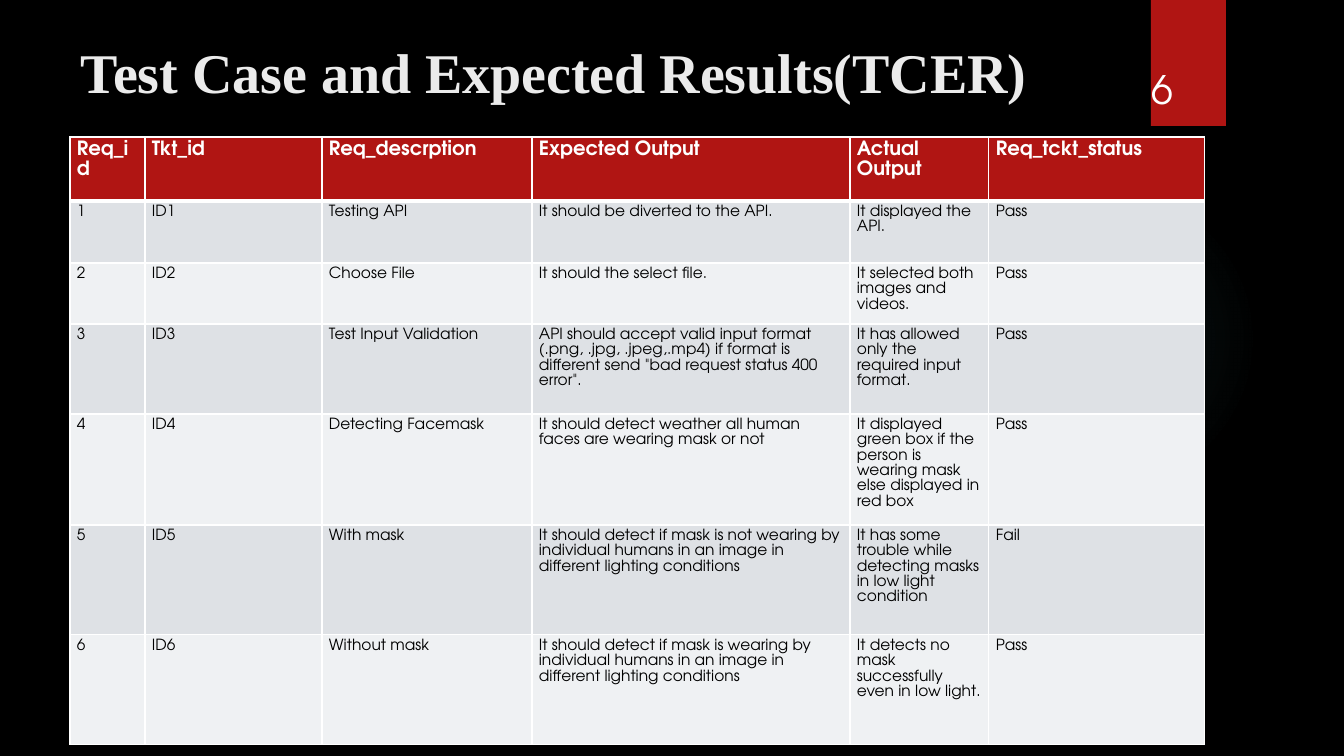
from pptx import Presentation
from pptx.dml.color import RGBColor
from pptx.enum.shapes import MSO_SHAPE
from pptx.enum.text import MSO_ANCHOR
from pptx.oxml import parse_xml
from pptx.oxml.ns import nsdecls
from pptx.util import Pt

PX = 12192000 / 1344
OVAL, RECTANGLE = MSO_SHAPE.OVAL, MSO_SHAPE.RECTANGLE
BOTTOM = MSO_ANCHOR.BOTTOM
BODY_FONT = "TeX Gyre Adventor"
RED, WHITE = "B01513", "FFFFFF"
BANDS = ["EFF1F3", "DEE1E5"]


def px(*lengths):
    """Turn pixel lengths into a list of EMU."""
    return [round(length * PX) for length in lengths]


def rgb(value):
    return RGBColor.from_string(value)


prs = Presentation()
prs.slide_width, prs.slide_height = px(1344, 756)
slide = prs.slides.add_slide(prs.slide_layouts[6])
slide.background.fill.solid()
slide.background.fill.fore_color.rgb = rgb("000000")

# Faint glow and red page tab
glow = slide.shapes.add_shape(OVAL, *px(949, 184, 310, 310))
stops = "".join(
    f'<a:gs pos="{position}000"><a:srgbClr val="50B9C1">'
    f'<a:alpha val="{alpha}000"/></a:srgbClr></a:gs>'
    for position, alpha in [(0, 7), (36, 6), (69, 0)])
glow.element.spPr.append(parse_xml(
    f'<a:gradFill {nsdecls("a")}><a:gsLst>{stops}</a:gsLst><a:path path="circle">'
    '<a:fillToRect l="50000" t="50000" r="50000" b="50000"/></a:path></a:gradFill>'))

page_tab = slide.shapes.add_shape(RECTANGLE, *px(1151, 0, 75, 126))
page_tab.fill.solid()
page_tab.fill.fore_color.rgb = rgb(RED)
for decoration in (glow, page_tab):
    decoration.line.fill.background()
    decoration.shadow.inherit = False

# Title and page number
for text, bounds, font, size, color, bold, spacing in [
    ("Test Case and Expected Results(TCER)", (71, 23, 986, 88),
     "Times New Roman", 40, "EBEBEB", True, 0.9),
    ("6", (1142, 32, 93, 85), BODY_FONT, 28, WHITE, False, 1.0),
]:
    frame = slide.shapes.add_textbox(*px(*bounds)).text_frame
    frame.word_wrap = True
    frame.vertical_anchor = BOTTOM
    paragraph = frame.paragraphs[0]
    paragraph.text = text
    paragraph.line_spacing = spacing
    paragraph.font.name = font
    paragraph.font.size = Pt(size)
    paragraph.font.bold = bold
    paragraph.font.color.rgb = rgb(color)

# Test case table
test_cases = [
    ("Req_id", "Tkt_id", "Req_descrption", "Expected Output", "Actual Output",
     "Req_tckt_status"),
    ("1", "ID1", "Testing API", "It should be diverted to the API.",
     "It displayed the API.", "Pass"),
    ("2", "ID2", "Choose File", "It should the select file.",
     "It selected both images and videos.", "Pass"),
    ("3", "ID3", "Test Input Validation",
     "API should accept valid input format (.png, .jpg, .jpeg,.mp4) if format is "
     'different send "bad request status 400 error".',
     "It has allowed only the required input format.", "Pass"),
    ("4", "ID4", "Detecting Facemask",
     "It should detect weather all human faces are wearing mask or not",
     "It displayed green box if the person is wearing mask else displayed in red box",
     "Pass"),
    ("5", "ID5", "With mask",
     "It should detect if mask is not wearing by individual humans in an image in "
     "different lighting conditions",
     "It has some trouble while detecting masks in low light condition", "Fail"),
    ("6", "ID6", "Without mask",
     "It should detect if mask is wearing by individual humans in an image in "
     "different lighting conditions",
     "It detects no mask successfully even in low light.", "Pass"),
]
column_widths = px(75, 177, 210, 318, 139, 216)
row_heights = px(64, 62, 61, 90, 111, 110, 110)
results = slide.shapes.add_table(
    len(row_heights), len(column_widths), *px(70, 137),
    sum(column_widths), sum(row_heights)).table
for column, width in zip(results.columns, column_widths):
    column.width = width
for row, height in zip(results.rows, row_heights):
    row.height = height

for r, test_case in enumerate(test_cases):
    header = r == 0
    text_size = Pt(14 if header else 11)
    for c, text in enumerate(test_case):
        cell = results.cell(r, c)
        cell.margin_left, cell.margin_right = px(7, 7)
        cell.margin_top, cell.margin_bottom = px(3, 3)
        for side in "LRTB":
            under_header = (r, side) in [(0, "B"), (1, "T")]
            width = Pt(3 if under_header else 1)
            cell._tc.get_or_add_tcPr().append(parse_xml(
                f'<a:ln{side} {nsdecls("a")} w="{width}"><a:solidFill>'
                f'<a:srgbClr val="{WHITE}"/></a:solidFill></a:ln{side}>'))
        cell.fill.solid()
        cell.fill.fore_color.rgb = rgb(RED if header else BANDS[r % 2])
        paragraph = cell.text_frame.paragraphs[0]
        paragraph.text = text
        paragraph.line_spacing = text_size
        paragraph.font.name = BODY_FONT
        paragraph.font.size = text_size
        paragraph.font.bold = header
        paragraph.font.color.rgb = rgb(WHITE if header else "000000")

prs.save("out.pptx")
